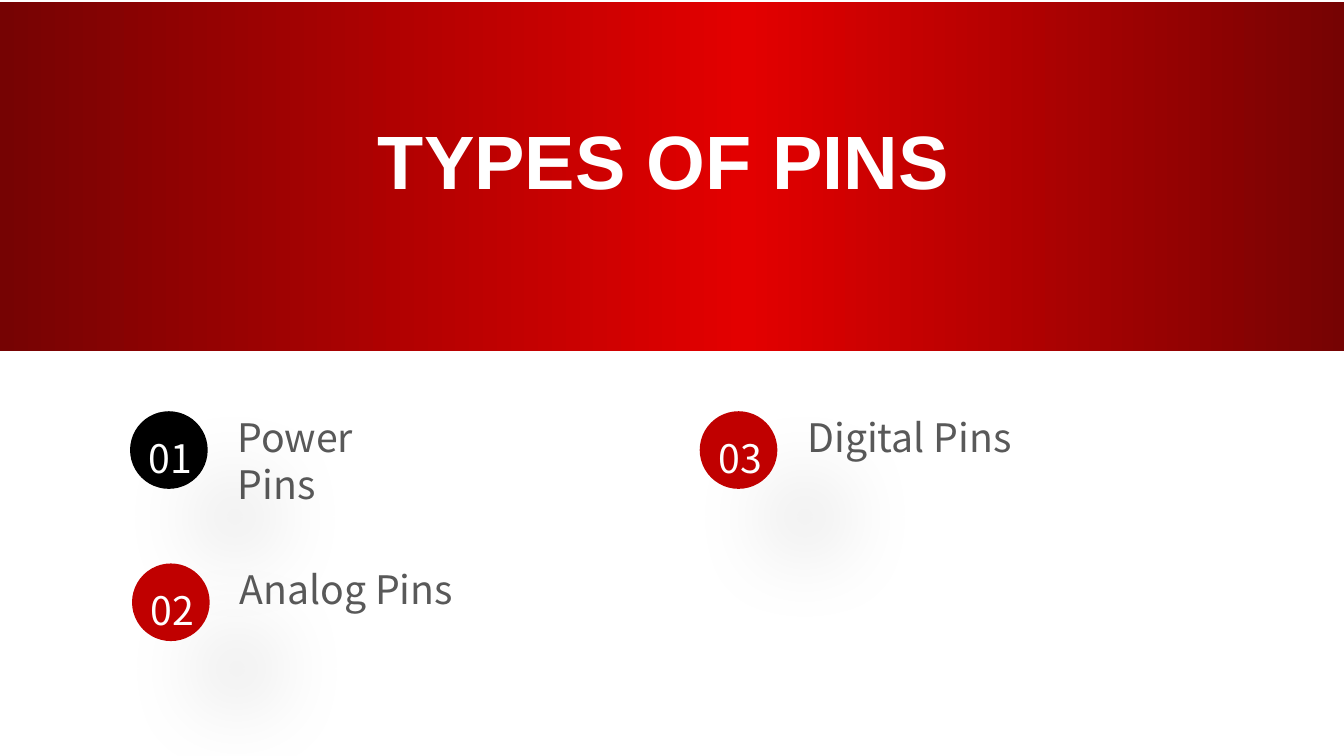
from dataclasses import dataclass

from lxml import etree
from pptx import Presentation
from pptx.dml.color import RGBColor
from pptx.enum.shapes import MSO_SHAPE
from pptx.enum.text import PP_ALIGN
from pptx.oxml.ns import qn
from pptx.util import Inches, Pt

RECT, OVAL = MSO_SHAPE.RECTANGLE, MSO_SHAPE.OVAL
LEFT, CENTER = PP_ALIGN.LEFT, PP_ALIGN.CENTER


@dataclass(frozen=True)
class Theme:
    bright: str = "E30000"
    dark: str = "760303"
    red: str = "C00000"
    black: str = "000000"
    white: str = "FFFFFF"
    gray: str = "595959"
    head: str = "Arial"
    body: str = "Noto Sans CJK SC"
    title: int = 54
    label: int = 28


THEME = Theme()


def rgb(code):
    return RGBColor.from_string(code)


def add_shape(slide, kind, left, top, width, height):
    shape = slide.shapes.add_shape(
        kind, Inches(left), Inches(top), Inches(width), Inches(height))
    shape.shadow.inherit = False
    shape.line.fill.background()
    return shape


def add_band(slide, left, width, first, last):
    """Add half of the header, shaded from left to right."""
    fill = add_shape(slide, RECT, left, 0.02, width, 3.46).fill
    fill.gradient()
    fill.gradient_angle = 0
    for stop, code in zip(fill.gradient_stops, (first, last)):
        stop.color.rgb = rgb(code)


def add_text(slide, text, box, font, size, color, bold=False,
             align=LEFT, space=1.0, right=0.0):
    frame = slide.shapes.add_textbox(*map(Inches, box)).text_frame
    frame.word_wrap = True
    frame.margin_right = Inches(right)
    para = frame.paragraphs[0]
    para.alignment = align
    para.line_spacing = space
    run = para.add_run()
    run.text = text
    run.font.name = font
    run.font.size = Pt(size)
    run.font.bold = bold
    run.font.color.rgb = rgb(color)


def add_glow(shape):
    """Give the shape a soft, far shadow to the lower right."""
    effects = shape._element.spPr.find(qn("a:effectLst"))
    shadow = etree.SubElement(
        effects, qn("a:outerShdw"), blurRad=str(Pt(61)), dist=str(Pt(67)),
        dir=str(45 * 60000), algn="ctr", rotWithShape="0")
    color = etree.SubElement(shadow, qn("a:srgbClr"), val=THEME.black)
    etree.SubElement(color, qn("a:alpha"), val="11000")


def add_item(slide, number, label, left, top, width, color, right=0.0):
    add_text(slide, label, (left + 0.97, top - 0.03, width, 0.57),
             THEME.body, THEME.label, THEME.gray, right=right)
    disc = add_shape(slide, OVAL, left, top, 0.77, 0.77)
    disc.fill.solid()
    disc.fill.fore_color.rgb = rgb(color)
    add_glow(disc)
    add_text(slide, number, (left + 0.06, top + 0.11, 0.68, 0.53),
             THEME.body, THEME.label, THEME.white,
             align=CENTER, space=1.14, right=0.1)


def main():
    deck = Presentation()
    deck.slide_width, deck.slide_height = Inches(13.33), Inches(7.5)
    slide = deck.slides.add_slide(deck.slide_layouts[6])

    add_band(slide, 7.39, 5.94, THEME.bright, THEME.dark)
    add_band(slide, 0, 7.39, THEME.dark, THEME.bright)
    add_text(slide, "TYPES OF PINS", (3.65, 1.08, 6.53, 1.01),
             THEME.head, THEME.title, THEME.white, bold=True)

    add_item(slide, "01", "Power Pins", 1.29, 4.08, 2.14, THEME.black, right=0.3)
    add_item(slide, "02", "Analog Pins", 1.31, 5.59, 2.34, THEME.red)
    add_item(slide, "03", "Digital Pins", 6.94, 4.08, 2.53, THEME.red)

    deck.save("out.pptx")


if __name__ == "__main__":
    main()
